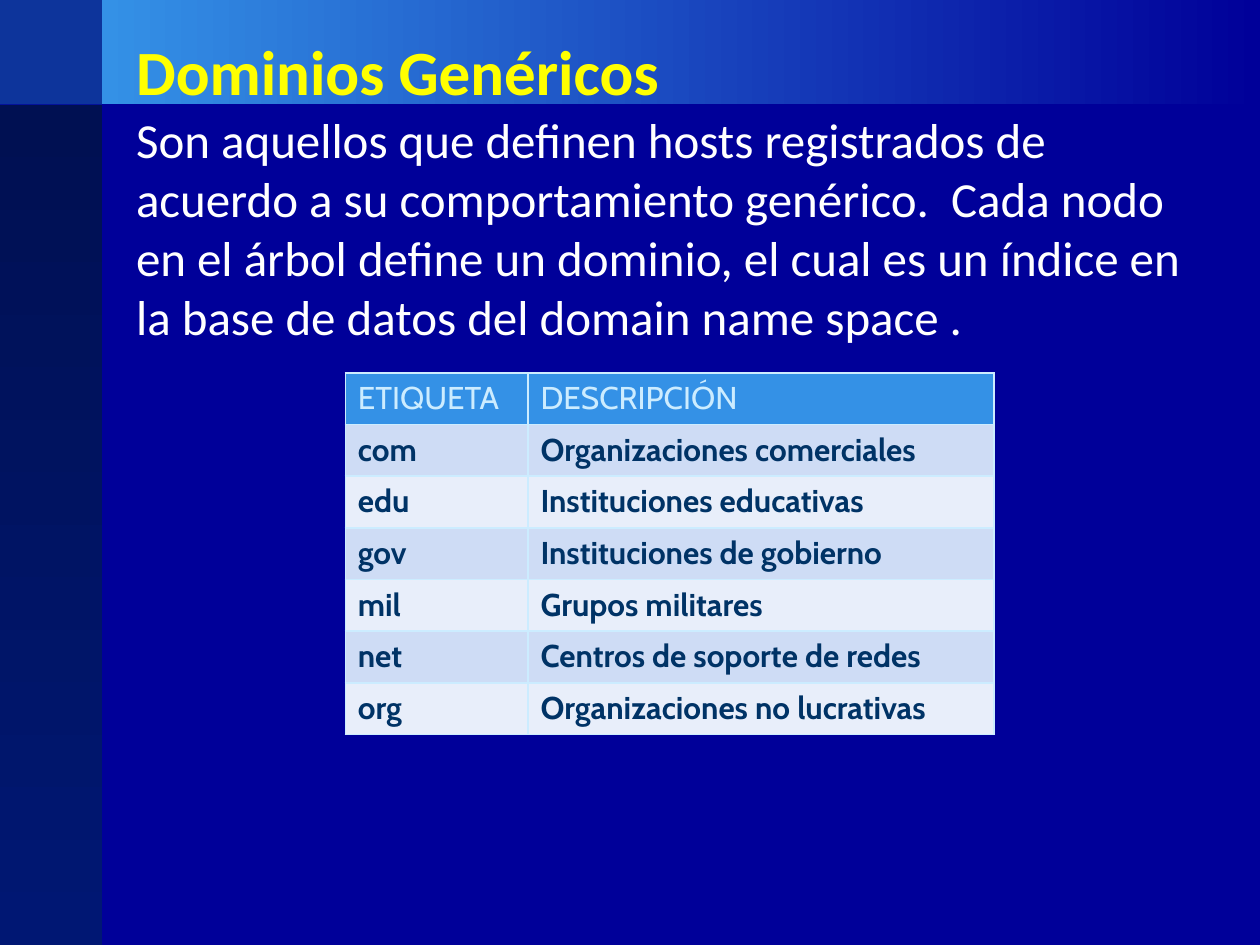
from lxml.etree import SubElement
from pptx import Presentation
from pptx.dml.color import RGBColor
from pptx.enum.shapes import MSO_SHAPE as Shape
from pptx.enum.text import MSO_ANCHOR as Anchor, MSO_AUTO_SIZE as AutoSize, PP_ALIGN as Align
from pptx.oxml.ns import qn
from pptx.util import Inches, Pt

NAVY = RGBColor(0x00, 0x00, 0x99)
SKY = RGBColor(0x34, 0x91, 0xE6)
CORNER = RGBColor(0x0D, 0x34, 0x9B)
SIDE_TOP = RGBColor(0x00, 0x10, 0x52)
SIDE_BOTTOM = RGBColor(0x00, 0x17, 0x73)
YELLOW = RGBColor(0xFF, 0xFF, 0x00)
WHITE = RGBColor(0xFF, 0xFF, 0xFF)
ICE = RGBColor(0xCC, 0xEC, 0xFF)
INK = RGBColor(0x00, 0x33, 0x66)
ROW_DARK = RGBColor(0xCE, 0xDC, 0xF5)
ROW_LIGHT = RGBColor(0xE8, 0xEE, 0xFA)

TITLE = "Dominios Genéricos"
DEFINITION = (
    "Son aquellos que definen hosts registrados de acuerdo a su comportamiento genérico.  "
    "Cada nodo en el árbol define un dominio, el cual es un índice en la base de datos "
    "del domain name space ."
)
DOMAINS = [
    ("ETIQUETA", "DESCRIPCIÓN"),
    ("com", "Organizaciones comerciales"),
    ("edu", "Instituciones educativas"),
    ("gov", "Instituciones de gobierno"),
    ("mil", "Grupos militares"),
    ("net", "Centros de soporte de redes"),
    ("org", "Organizaciones no lucrativas"),
]


def add_run(paragraph, text, font_name, size, color, bold=False):
    """Add one formatted run to a paragraph."""
    run = paragraph.add_run()
    run.text = text
    font = run.font
    font.name, font.size, font.bold = font_name, Pt(size), bold
    font.color.rgb = color


def add_band(slide, box, colors, angle=0):
    """Add a plain or gradient rectangle behind the placeholders."""
    band = slide.shapes.add_shape(Shape.RECTANGLE, *map(Inches, box))
    band.shadow.inherit = False
    band.line.fill.background()
    if len(colors) == 1:
        band.fill.solid()
        band.fill.fore_color.rgb = colors[0]
    else:
        band.fill.gradient()
        band.fill.gradient_angle = angle
        for stop, color, position in zip(band.fill.gradient_stops, colors, (0, 1)):
            stop.color.rgb = color
            stop.position = position
    slide.shapes.title.element.addprevious(band.element)


def add_backdrop(slide, box, side, header):
    """Paint the background, header band, side band and corner within the box."""
    left, top, width, height = box
    slide.background.fill.solid()
    slide.background.fill.fore_color.rgb = NAVY
    add_band(slide, (left + side, top, width - side, header), (SKY, NAVY))
    add_band(slide, (left, top + header, side, height - header), (SIDE_TOP, SIDE_BOTTOM), 270)
    add_band(slide, (left, top, side, header), (CORNER,))


def fill_placeholder(placeholder, box, text, size, color, bold=False):
    """Place a placeholder in the box and give it one unbulleted paragraph."""
    placeholder.left, placeholder.top, placeholder.width, placeholder.height = map(Inches, box)
    frame = placeholder.text_frame
    frame.word_wrap = True
    frame.auto_size = AutoSize.NONE
    frame.vertical_anchor = Anchor.TOP
    frame.margin_left = frame.margin_right = Inches(0.1)
    frame.margin_top = frame.margin_bottom = 0
    paragraph = frame.paragraphs[0]
    paragraph.alignment = Align.LEFT
    paragraph.space_before = Pt(0)
    properties = paragraph._p.get_or_add_pPr()
    properties.set("marL", "0")
    properties.set("indent", "0")
    SubElement(properties, qn("a:buNone"))
    add_run(paragraph, text, "Calibri", size, color, bold)


def add_text(slide, box, title_height):
    """Stack the title and the definition in the box."""
    left, top, width, height = box
    body_box = (left, top + title_height, width, height - title_height)
    fill_placeholder(slide.shapes.title, (left, top, width, title_height), TITLE, 36, YELLOW, True)
    fill_placeholder(slide.placeholders[1], body_box, DEFINITION, 28, WHITE)


def set_borders(cell, color, width):
    """Draw a solid line on the four sides of a cell."""
    properties = cell._tc.get_or_add_tcPr()
    for side in ("lnL", "lnR", "lnT", "lnB"):
        line = SubElement(properties, qn(f"a:{side}"), w=str(Pt(width)))
        SubElement(SubElement(line, qn("a:solidFill")), qn("a:srgbClr"), val=str(color))


def add_domain_table(slide, left, top, column_widths, row_height):
    """Add the table of generic domains with its banded rows."""
    width, height = sum(column_widths), row_height * len(DOMAINS)
    table = slide.shapes.add_table(
        len(DOMAINS), len(column_widths), *map(Inches, (left, top, width, height))
    ).table
    for column, column_width in zip(table.columns, column_widths):
        column.width = Inches(column_width)
    for row_index, labels in enumerate(DOMAINS):
        is_header = row_index == 0
        band = SKY if is_header else ROW_DARK if row_index % 2 else ROW_LIGHT
        for column_index, label in enumerate(labels):
            cell = table.cell(row_index, column_index)
            set_borders(cell, ICE, 1)
            cell.fill.solid()
            cell.fill.fore_color.rgb = band
            paragraph = cell.text_frame.paragraphs[0]
            add_run(paragraph, label, "Cabin", 18, ICE if is_header else INK, not is_header)


def main():
    """Build the slide and save the presentation."""
    presentation = Presentation()
    presentation.slide_width, presentation.slide_height = Inches(10), Inches(7.5)
    slide = presentation.slides.add_slide(presentation.slide_layouts[1])
    add_backdrop(slide, (0, 0, 10, 7.5), side=0.81, header=0.83)
    add_text(slide, (0.98, 0.26, 8.67, 2.6), title_height=0.61)
    add_domain_table(slide, 2.74, 2.96, (1.45, 3.7), 0.41)
    presentation.save("out.pptx")


if __name__ == "__main__":
    main()
